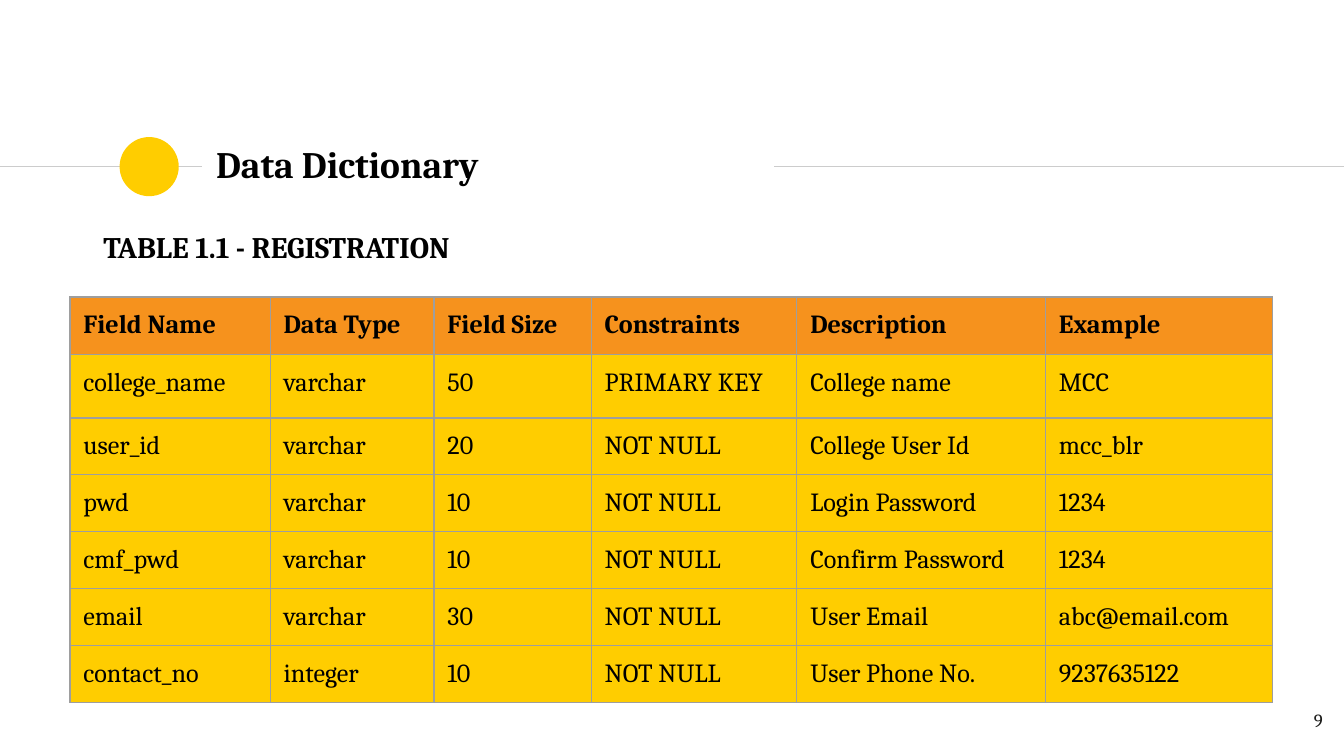
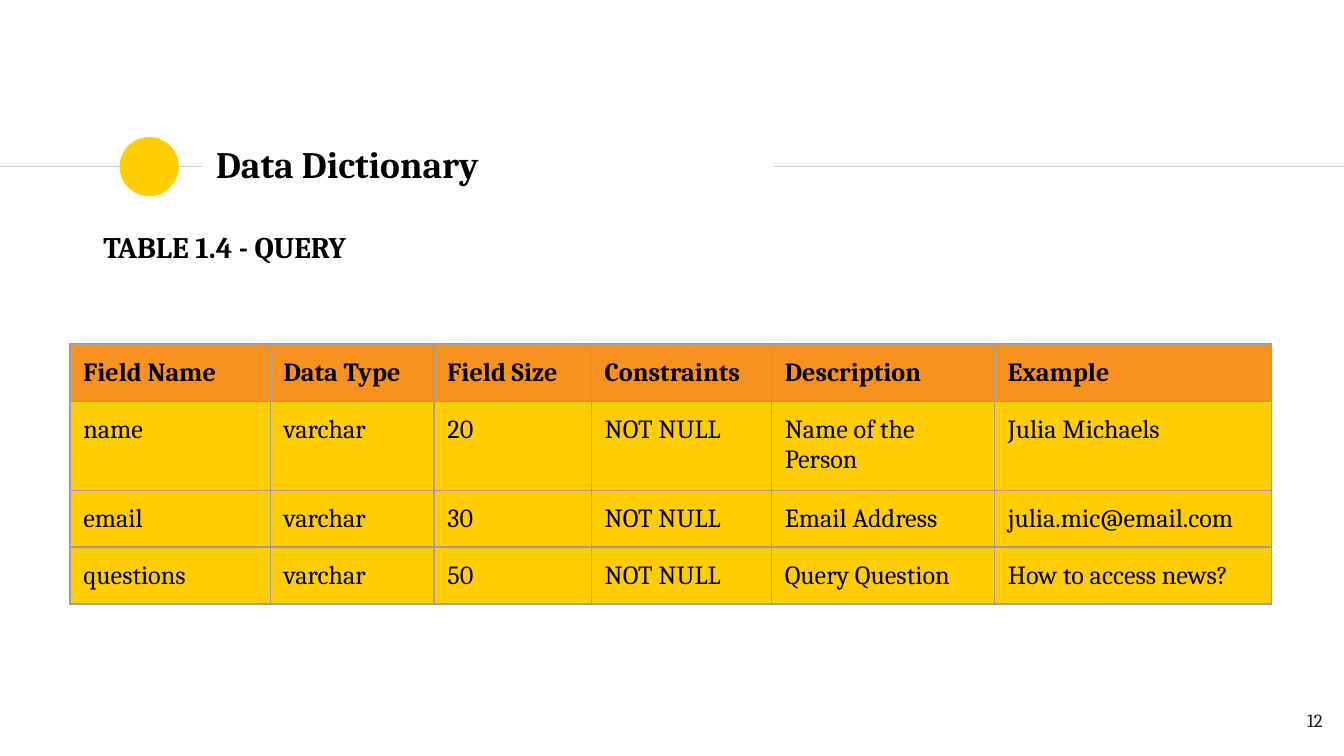
from lxml import etree
from pptx import Presentation
from pptx import util as u
from pptx.dml import color
from pptx.enum import shapes, text
from pptx.oxml import ns

FONT = "Cambria"
BLACK, INK, RULE, GRID = "000000", "1D1D1B", "CCCCCC", "9E9E9E"
YELLOW, ORANGE = "FFCD00", "F6921D"
INSET, CELL_BOTTOM = 0.1, 0.09
HEADER_H, FIRST_H, ROW_H = 0.43, 0.47, 0.42

FIELDS = ["Field Name", "Data Type", "Field Size", "Constraints", "Description", "Example"]

REGISTRATION = [
    ["college_name", "varchar", "50", "PRIMARY KEY", "College name", "MCC"],
    ["user_id", "varchar", "20", "NOT NULL", "College User Id", "mcc_blr"],
    ["pwd", "varchar", "10", "NOT NULL", "Login Password", "1234"],
    ["cmf_pwd", "varchar", "10", "NOT NULL", "Confirm Password", "1234"],
    ["email", "varchar", "30", "NOT NULL", "User Email", "abc@email.com"],
    ["contact_no", "integer", "10", "NOT NULL", "User Phone No.", "9237635122"],
]
QUERY = [
    ["name", "varchar", "20", "NOT NULL", "Name of the Person", "Julia Michaels"],
    ["email", "varchar", "30", "NOT NULL", "Email Address", "julia.mic@email.com"],
    ["questions", "varchar", "50", "NOT NULL", "Query Question", "How to access news?"],
]


def rgb(value):
    return color.RGBColor.from_string(value)


def inches(values):
    return [u.Inches(v) for v in values]


def format_run(p, size, hue=BLACK, bold=False):
    for r in p.runs:
        r.font.name = FONT
        r.font.size = u.Pt(size)
        r.font.bold = bold
        r.font.color.rgb = rgb(hue)


def set_margins(target, bottom=INSET):
    target.margin_left = target.margin_right = target.margin_top = u.Inches(INSET)
    target.margin_bottom = u.Inches(bottom)


def add_label(s, box, words, size, hue=BLACK, bold=False,
              align=text.PP_ALIGN.LEFT, anchor=text.MSO_ANCHOR.TOP):
    tf = s.shapes.add_textbox(*inches(box)).text_frame
    tf.word_wrap = True
    tf.vertical_anchor = anchor
    set_margins(tf)
    tf.text = words
    p = tf.paragraphs[0]
    p.alignment = align
    format_run(p, size, hue, bold)
    return tf


def add_rule(s, x1, x2, y):
    line = s.shapes.add_connector(shapes.MSO_CONNECTOR.STRAIGHT, *inches([x1, y, x2, y]))
    line.line.color.rgb = rgb(RULE)
    line.line.width = u.Pt(0.75)
    etree.SubElement(line._element.spPr, ns.qn("a:effectLst"))


def add_title_band(s, box, title):
    x, y, w, h = box
    middle = y + 0.26
    add_rule(s, 0, x - 0.01, middle)
    dot = s.shapes.add_shape(shapes.MSO_SHAPE.OVAL,
                             *inches([x - 0.62, middle - 0.22, 0.44, 0.44]))
    dot.shadow.inherit = False
    dot.fill.solid()
    dot.fill.fore_color.rgb = rgb(YELLOW)
    dot.line.fill.background()
    add_rule(s, x + w + 0.01, 10, middle)
    add_label(s, box, title, 20, bold=True, anchor=text.MSO_ANCHOR.MIDDLE)


def add_borders(cell):
    tc_pr = cell._tc.get_or_add_tcPr()
    for side in ("lnL", "lnR", "lnT", "lnB"):
        ln = etree.SubElement(tc_pr, ns.qn(f"a:{side}"), w=str(u.Pt(0.75)))
        fill = etree.SubElement(ln, ns.qn("a:solidFill"))
        etree.SubElement(fill, ns.qn("a:srgbClr"), val=GRID)


def format_cell(cell, words, is_header):
    set_margins(cell, CELL_BOTTOM)
    cell.text_frame.text = words
    format_run(cell.text_frame.paragraphs[0], 14, bold=is_header)
    add_borders(cell)
    cell.fill.solid()
    cell.fill.fore_color.rgb = rgb(ORANGE if is_header else YELLOW)


def add_field_table(s, left, top, widths, records):
    rows = [FIELDS] + records
    heights = [HEADER_H, FIRST_H] + [ROW_H] * (len(records) - 1)
    box = inches([left, top, sum(widths), sum(heights)])
    table = s.shapes.add_table(len(rows), len(FIELDS), *box).table
    table.horz_banding = False
    for column, width in zip(table.columns, widths):
        column.width = u.Inches(width)
    for i, (row, height) in enumerate(zip(rows, heights)):
        table.rows[i].height = u.Inches(height)
        for j, words in enumerate(row):
            format_cell(table.cell(i, j), words, i == 0)


def add_dictionary_slide(prs, number, caption, top, widths, records):
    s = prs.slides.add_slide(prs.slide_layouts[6])
    add_title_band(s, (1.51, 0.98, 4.24, 0.48), "Data Dictionary")
    add_label(s, (9.34, 5.19, 0.6, 0.43), number, 10, INK, align=text.PP_ALIGN.RIGHT)
    add_field_table(s, 0.52, top, widths, records)
    tf = add_label(s, (0.67, 1.6, 3.61, 0.47), caption, 16, bold=True)
    tf.auto_size = text.MSO_AUTO_SIZE.SHAPE_TO_FIT_TEXT


def main():
    prs = Presentation()
    prs.slide_width = u.Inches(10)
    prs.slide_height = prs.slide_width * 9 // 16
    shared = [1.49, 1.22, 1.17]
    add_dictionary_slide(prs, "9", "TABLE 1.1 - REGISTRATION", 2.21,
                         shared + [1.53, 1.85, 1.69], REGISTRATION)
    add_dictionary_slide(prs, "12", "TABLE 1.4 - QUERY", 2.56,
                         shared + [1.34, 1.66, 2.06], QUERY)
    prs.save("out.pptx")


if __name__ == "__main__":
    main()
